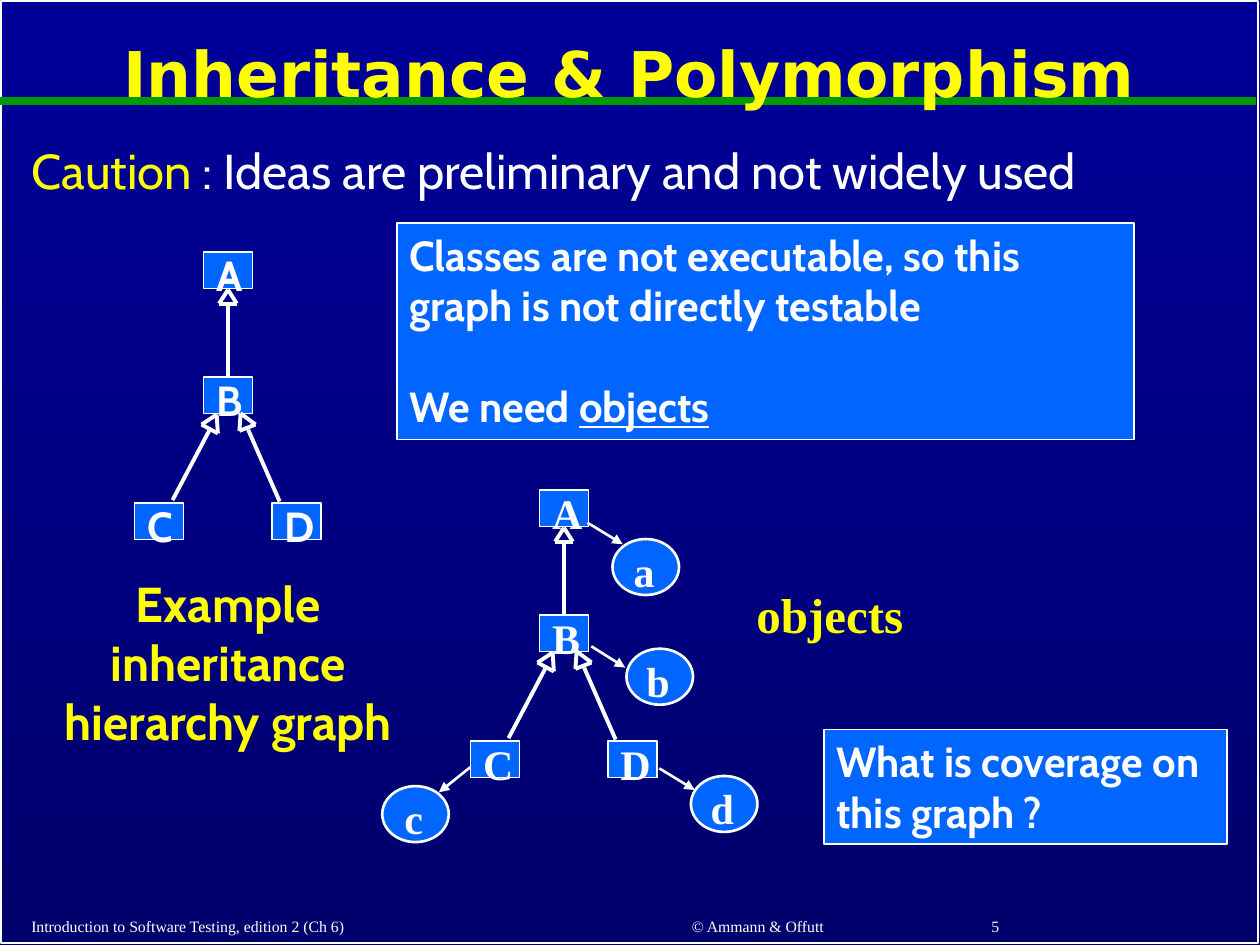
from pptx import Presentation
from pptx.dml.color import RGBColor
from pptx.enum import shapes, text
from pptx.oxml import ns
from pptx.util import Pt
from lxml import etree

WHITE = RGBColor(0xFF, 0xFF, 0xFF)
YELLOW = RGBColor(0xFF, 0xFF, 0x00)
GREEN = RGBColor(0x00, 0x99, 0x00)
BLUE = RGBColor(0x00, 0x66, 0xFF)
NAVY_TOP = RGBColor(0x00, 0x00, 0x99)
NAVY_BOTTOM = RGBColor(0x00, 0x00, 0x6D)

SANS, SERIF, TITLE_FONT = "Cabin", "Times New Roman", "DejaVu Sans"
LEFT, CENTER = text.PP_ALIGN.LEFT, text.PP_ALIGN.CENTER
TOP, MIDDLE = text.MSO_ANCHOR.TOP, text.MSO_ANCHOR.MIDDLE
RECT, OVAL = shapes.MSO_SHAPE.RECTANGLE, shapes.MSO_SHAPE.OVAL

# Class tree, relative to its top left corner
NODE_W, NODE_H, LETTER_H = 28, 21, 36.5
NODES = {"A": (39.5, 0), "B": (39.5, 71.5), "C": (0, 143.5), "D": (78.5, 143.5)}
# Each inheritance arrow: three corners of the hollow head, then the shaft
ARROWS = [
    ([(48.2, 29.5), (58.3, 29.5), (53.3, 21.6)], (53.3, 31), (53.3, 71.3)),
    ([(38.2, 98.6), (47.5, 103.7), (46.8, 92.9)], (42.5, 102.2), (21.6, 141.8)),
    ([(59.8, 102.2), (69, 98.6), (60.5, 92.2)], (64.8, 101.5), (82.8, 142.6)),
]
# Each object: oval corner, then the link from its class
OVAL_W, OVAL_H = 38, 32
OBJECTS = {
    "a": ((81, 28), (66.7, 18.7), (86.9, 31)),
    "b": ((89, 90.7), (68.9, 89.3), (88.3, 101.5)),
    "d": ((125.8, 163.4), (107.8, 159.1), (128, 171.4)),
    "c": ((-50.6, 169.2), (-0.2, 158.4), (-18.2, 172.8)),
}


def add_span(para, words, size, font, color, bold=False, underline=False):
    span = para.add_run()
    span.text = words
    span.font.size = Pt(size)
    span.font.name = font
    span.font.color.rgb = color
    span.font.bold = bold
    span.font.underline = underline


def set_frame(frame, anchor, align):
    frame.word_wrap = True
    frame.vertical_anchor = anchor
    para = frame.paragraphs[0]
    para.alignment = align
    return para


def add_label(page, box, words, size, font, color, bold=False,
              align=CENTER, anchor=MIDDLE):
    label = page.shapes.add_textbox(*map(Pt, box))
    para = set_frame(label.text_frame, anchor, align)
    if words:
        add_span(para, words, size, font, color, bold)
    return para


def add_panel(page, kind, box, line_width, filled=True):
    panel = page.shapes.add_shape(kind, *map(Pt, box))
    panel.shadow.inherit = False
    if filled:
        panel.fill.solid()
        panel.fill.fore_color.rgb = BLUE
    else:
        panel.fill.background()
    panel.line.color.rgb = WHITE
    panel.line.width = Pt(line_width)
    return panel


def add_line(page, start, end, width, color=WHITE, arrow=False):
    line = page.shapes.add_connector(
        shapes.MSO_CONNECTOR.STRAIGHT, *map(Pt, (*start, *end)))
    line.line.color.rgb = color
    line.line.width = Pt(width)
    if arrow:
        etree.SubElement(line.line._get_or_add_ln(), ns.qn("a:tailEnd"), type="triangle")
    etree.SubElement(line._element.spPr, ns.qn("a:effectLst"))


def draw_frame(page, width, height):
    fill = page.background.fill
    fill.gradient()
    fill.gradient_angle = 270
    for stop, color in zip(fill.gradient_stops, (NAVY_TOP, NAVY_BOTTOM)):
        stop.color.rgb = color
    add_panel(page, RECT, (0.75, 0.75, width - 2, height - 2), 1, filled=False)
    add_line(page, (0, 57.5), (width - 2, 57.5), 4.5, GREEN)


def draw_heading(page, left, top, width):
    title = add_label(page, (left, top, width, 72), "Inheritance & Polymorphism",
                      36, TITLE_FONT, YELLOW, True)
    title.line_spacing = 0.9
    caution = add_label(page, (left + 1.5, top + 72.6, width - 2, 48), "Caution",
                        28, SANS, YELLOW, align=LEFT, anchor=TOP)
    caution.line_spacing = 0.9
    add_span(caution, " : Ideas are preliminary and not widely used", 28, SANS, WHITE)


def draw_callout(page, box, paragraphs, gap=0):
    """Blue panel; paragraphs are lists of (words, underline)."""
    frame = add_panel(page, RECT, box, 1).text_frame
    para = set_frame(frame, TOP, LEFT)
    for index, spans in enumerate(paragraphs):
        if index:
            para = frame.add_paragraph()
            para.alignment = LEFT
            para.space_before = Pt(gap)
        for words, underline in spans:
            add_span(para, words, 24, SANS, WHITE, True, underline)


def draw_tree(page, left, top, font):
    def place(point):
        return left + point[0], top + point[1]

    # Classes
    for name, corner in NODES.items():
        x, y = place(corner)
        add_panel(page, RECT, (x, y, NODE_W, NODE_H), 0.75)
        add_label(page, (x, y - 5.5, NODE_W, LETTER_H), name, 24, font, WHITE, True)
    # Inheritance arrows
    for head, start, end in ARROWS:
        for corner, following in zip(head, head[1:] + head[:1]):
            add_line(page, place(corner), place(following), 2.25)
        add_line(page, place(start), place(end), 2.25)


def draw_objects(page, left, top):
    for name, (corner, start, end) in OBJECTS.items():
        x, y = left + corner[0], top + corner[1]
        add_panel(page, OVAL, (x, y, OVAL_W, OVAL_H), 1.5)
        add_label(page, (x - 1, y, OVAL_W, LETTER_H), name, 24, SERIF, WHITE, True)
        add_line(page, (left + start[0], top + start[1]),
                 (left + end[0], top + end[1]), 1.5, arrow=True)
    add_label(page, (left + 143, top + 50.4, 124.5, 41), "objects",
              28, SERIF, YELLOW, True)


def draw_footer(page, top):
    for left, width, words, align in (
            (10.8, 296, "Introduction to Software Testing, edition 2 (Ch 6)", LEFT),
            (319, 228, "© Ammann & Offutt", CENTER),
            (559.5, 150, "5", LEFT)):
        add_label(page, (left, top, width, 19), words, 9, SERIF, WHITE, align=align)


def main():
    deck = Presentation()
    deck.slide_width, deck.slide_height = Pt(720), Pt(540)
    page = deck.slides.add_slide(deck.slide_layouts[6])

    draw_frame(page, 720, 540)
    draw_heading(page, 9.4, 7.9, 700.5)

    # Class hierarchy
    add_label(page, (13, 324, 234.7, 108.7), "Example inheritance hierarchy graph",
              28, SANS, YELLOW, True)
    draw_tree(page, 77, 144, SANS)
    draw_callout(page, (226.8, 127.4, 421.2, 123.8), [
        [("Classes are not executable, so this graph is not directly testable", False)],
        [("We need ", False), ("objects", True)],
    ], gap=29)

    # Hierarchy with its objects
    draw_tree(page, 269, 280, SERIF)
    draw_objects(page, 269, 280)
    draw_callout(page, (470.9, 416.9, 230.4, 65.5),
                 [[("What is coverage on this graph ?", False)]])

    draw_footer(page, 519.5)
    deck.save("out.pptx")


if __name__ == "__main__":
    main()
